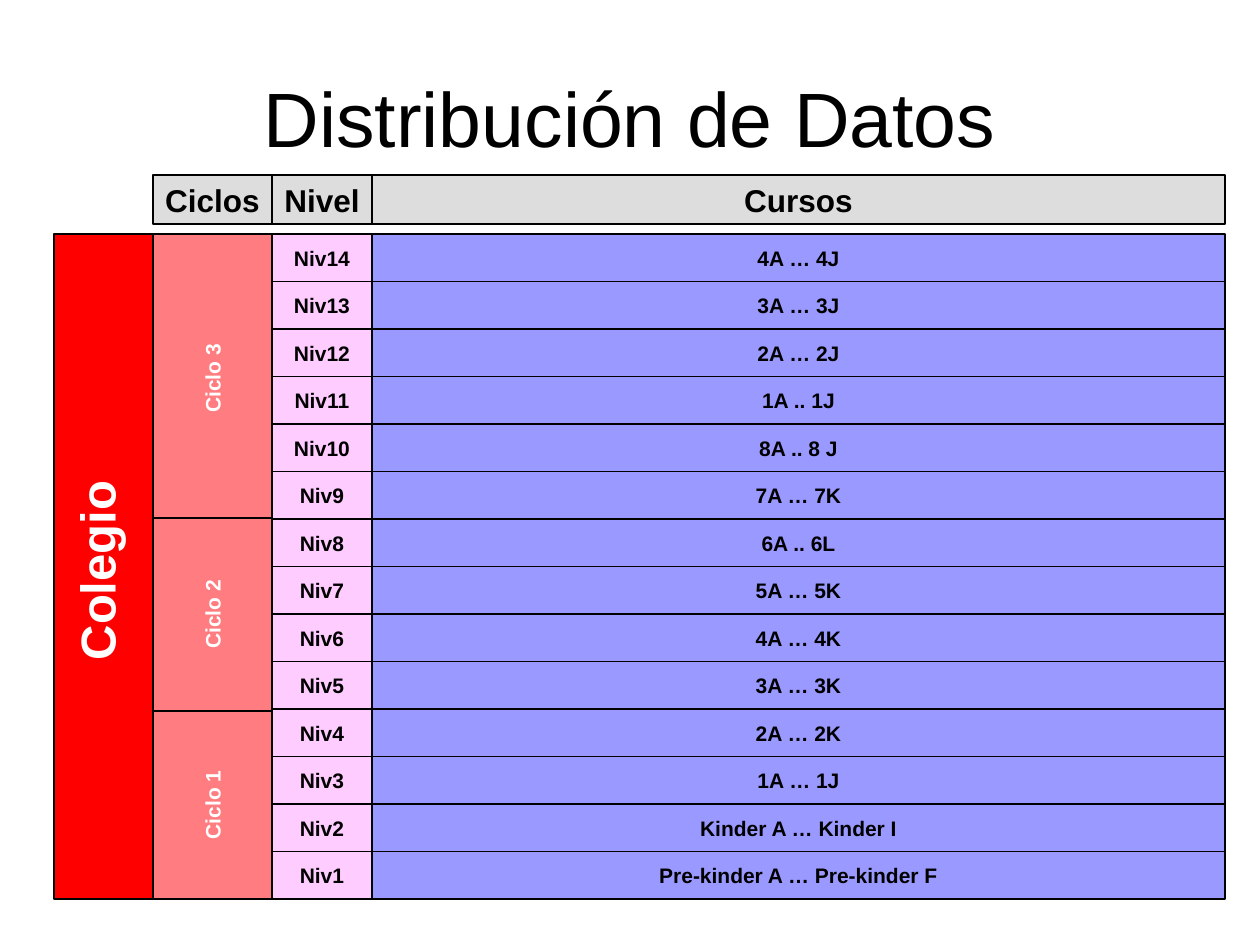
from dataclasses import dataclass
from pptx import Presentation
from pptx.dml.color import RGBColor
from pptx.enum.shapes import MSO_SHAPE
from pptx.enum.text import MSO_ANCHOR, MSO_AUTO_SIZE, PP_ALIGN
from pptx.util import Emu, Pt

RECT = MSO_SHAPE.RECTANGLE
TOP, MIDDLE = MSO_ANCHOR.TOP, MSO_ANCHOR.MIDDLE
CENTER = PP_ALIGN.CENTER
FIT = MSO_AUTO_SIZE.SHAPE_TO_FIT_TEXT
SCALE = 914400 / 126


@dataclass(frozen=True)
class Theme:
    font: str = "Arial"
    ink: str = "000000"
    light: str = "FFFFFF"
    head: str = "DDDDDD"
    school: str = "FF0000"
    cycle: str = "FF7C80"
    level: str = "FFCCFF"
    course: str = "9999FF"
    title_size: int = 44
    school_size: int = 28
    head_size: int = 18
    cell_size: int = 12


THEME = Theme()
COURSES = [
    "Pre-kinder A … Pre-kinder F", "Kinder A … Kinder I", "1A … 1J", "2A … 2K",
    "3A … 3K", "4A … 4K", "5A … 5K", "6A .. 6L", "7A … 7K", "8A .. 8 J",
    "1A .. 1J", "2A … 2J", "3A … 3J", "4A … 4J",
]
LEVELS = [f"Niv{n}" for n in range(1, len(COURSES) + 1)]
# Name, top and height inside the column, label length
CYCLES = [("Ciclo 3", 0, 289, 267), ("Ciclo 1", 477, 188, 170), ("Ciclo 2", 284, 193, 161)]
HEAD_TOP, HEAD_HIGH = 175, 49
BODY_TOP, BODY_HIGH = 234, 665


def px(value):
    return Emu(round(value * SCALE))


def apply(target, values):
    for name, value in values.items():
        setattr(target, name, value)


def write(shape, text, size, color, bold=True, **frame):
    body = shape.text_frame
    apply(body, {"word_wrap": False, "vertical_anchor": MIDDLE, **frame})
    para = body.paragraphs[0]
    para.alignment = CENTER
    run = para.add_run()
    run.text = text
    apply(run.font, {"name": THEME.font, "size": Pt(size), "bold": bold})
    run.font.color.rgb = RGBColor.from_string(color)


def block(parent, box, fill, line=True):
    shape = parent.shapes.add_shape(RECT, *map(px, box))
    shape.shadow.inherit = False
    shape.fill.solid()
    shape.fill.fore_color.rgb = RGBColor.from_string(fill)
    if line:
        shape.line.width = Pt(0.75)
        shape.line.color.rgb = RGBColor.from_string(THEME.ink)
    else:
        shape.line.fill.background()
    return shape


def label(parent, center, length, high, text, size, fill):
    """Place upward-reading text around a centre point."""
    x, y = center
    box = (x - length / 2, y - high / 2, length, high)
    shape = block(parent, box, fill, line=False)
    shape.rotation = 270
    write(shape, text, size, THEME.light, word_wrap=True, vertical_anchor=TOP, auto_size=FIT)


def header(parent, left, wide, text):
    shape = block(parent, (left, HEAD_TOP, wide, HEAD_HIGH), THEME.head)
    write(shape, text, THEME.head_size, THEME.ink)


def title(slide, box):
    shape = slide.shapes.add_textbox(*map(px, box))
    write(shape, "Distribución de Datos", THEME.title_size, THEME.ink, bold=False, word_wrap=True)


def school(slide, box):
    left, top, wide, high = box
    group = slide.shapes.add_group_shape()
    block(group, box, THEME.school)
    center = (left + wide / 2 - 7, top + high / 2 + 4)
    label(group, center, 639, 72, "Colegio", THEME.school_size, THEME.school)


def cycles(slide, box):
    left, top, wide, _ = box
    group = slide.shapes.add_group_shape()
    for name, start, high, length in CYCLES:
        block(group, (left, top + start, wide, high), THEME.cycle)
        center = (left + wide / 2, top + start + high / 2)
        label(group, center, length, 38, name, THEME.cell_size, THEME.cycle)
    header(group, left, wide, "Ciclos")


def column(slide, box, head, names, fill):
    """Stack equal cells from the bottom up, under a header."""
    left, top, wide, high = box
    group = slide.shapes.add_group_shape()
    step = high / len(names)
    for row, name in enumerate(names, 1):
        cell = block(group, (left, top + high - row * step, wide, step), fill)
        write(cell, name, THEME.cell_size, THEME.ink)
    header(group, left, wide, head)


def main():
    deck = Presentation()
    deck.slide_width, deck.slide_height = px(1260), px(945)
    slide = deck.slides.add_slide(deck.slide_layouts[6])
    title(slide, (63, 38, 1134, 157))
    school(slide, (54, BODY_TOP, 99, BODY_HIGH))
    cycles(slide, (153, BODY_TOP, 119, BODY_HIGH))
    column(slide, (272, BODY_TOP, 100, BODY_HIGH), "Nivel", LEVELS, THEME.level)
    column(slide, (372, BODY_TOP, 853, BODY_HIGH), "Cursos", COURSES, THEME.course)
    deck.save("out.pptx")


if __name__ == "__main__":
    main()
